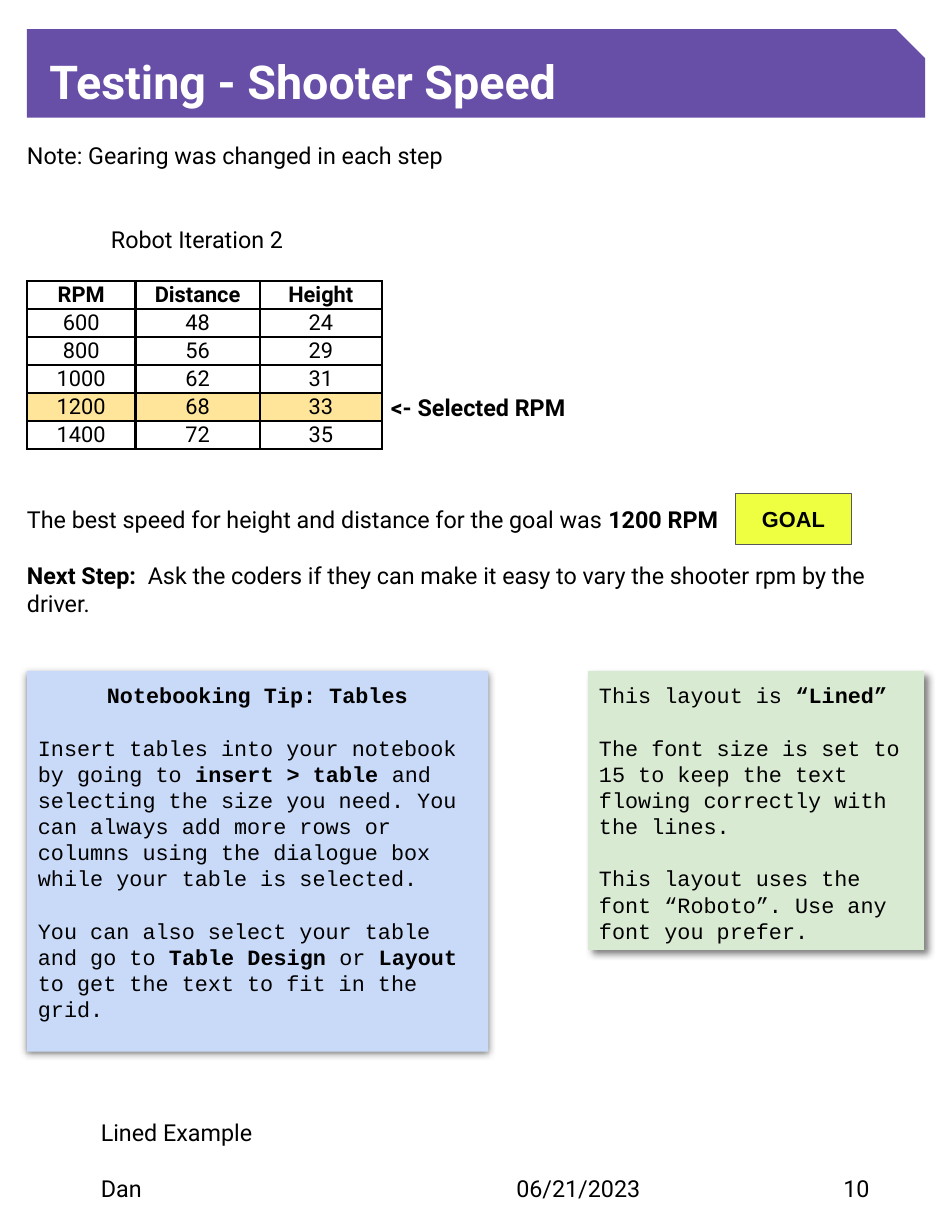
"""Builds the notebook page on testing the shooter speed."""
from lxml import etree
from pptx import Presentation
from pptx.dml.color import RGBColor
from pptx.enum.shapes import MSO_SHAPE
from pptx.enum.text import MSO_ANCHOR, MSO_AUTO_SIZE, PP_ALIGN
from pptx.oxml.ns import qn
from pptx.util import Inches, Pt

LEFT, CENTER = PP_ALIGN.LEFT, PP_ALIGN.CENTER
TOP, MIDDLE = MSO_ANCHOR.TOP, MSO_ANCHOR.MIDDLE
NO_AUTOFIT = MSO_AUTO_SIZE.NONE
RECTANGLE, SNIPPED = MSO_SHAPE.RECTANGLE, MSO_SHAPE.SNIP_1_RECTANGLE

COLORS = {
    "ink": "000000", "paper": "FFFFFF", "banner": "674EA7", "selected": "FFE599",
    "table_tip": "C9DAF8", "layout_tip": "D9EAD3", "goal": "EEFF41", "goal_edge": "595959",
}
MARGIN = 0.24
CONTENT_WIDTH = 8.02
LINE_PITCH = 18
CARD_PITCH = 16.8


def rgb(name):
    """Return the named colour."""
    return RGBColor.from_string(COLORS[name])


def add_solid(parent, name, alpha=None):
    """Append a colour element, optionally translucent, to an XML parent."""
    color = etree.SubElement(parent, qn("a:srgbClr"), val=COLORS[name])
    if alpha is not None:
        etree.SubElement(color, qn("a:alpha"), val=str(alpha * 1000))


def write(paragraph, text, *, size=15, font="Roboto", color="ink", bold=False,
          align=LEFT, pitch=None, before=0, indent=0):
    """Fill a paragraph with text, in which ** switches bold on and off."""
    paragraph.alignment = align
    paragraph.space_before = Pt(before)
    if pitch:
        paragraph.line_spacing = Pt(pitch)
    if indent:
        properties = paragraph._p.get_or_add_pPr()
        properties.set("marL", str(Inches(indent)))
        properties.set("indent", "0")
    for position, part in enumerate(text.split("**")):
        if part:
            run = paragraph.add_run()
            run.text = part
            run.font.size = Pt(size)
            run.font.name = font
            run.font.bold = bold or position % 2 == 1
            run.font.color.rgb = rgb(color)


class NotebookPage:
    """Holds the page style and the current slide."""

    def __init__(self, slide, **style):
        """Keep the slide and the format shared by its running text."""
        self.slide = slide
        self.style = style

    def fill_frame(self, frame, paragraphs, insets=(0, 0, 0, 0), anchor=TOP, **style):
        """Write (text, format) pairs into a text frame."""
        frame.word_wrap = True
        frame.auto_size = NO_AUTOFIT
        frame.vertical_anchor = anchor
        (frame.margin_left, frame.margin_top,
         frame.margin_right, frame.margin_bottom) = map(Inches, insets)
        for index, (text, extra) in enumerate(paragraphs):
            paragraph = frame.add_paragraph() if index else frame.paragraphs[0]
            write(paragraph, text, **{**self.style, **style, **extra})

    def title(self, text, box):
        """Place and format the title placeholder."""
        title = self.slide.shapes.title
        title.left, title.top, title.width, title.height = map(Inches, box)
        self.fill_frame(title.text_frame, [(text, {})])

    def text(self, paragraphs, box, **style):
        """Add a text box."""
        textbox = self.slide.shapes.add_textbox(*map(Inches, box))
        self.fill_frame(textbox.text_frame, paragraphs, **style)

    def panel(self, paragraphs, box, fill, edge=None, kind=RECTANGLE, **style):
        """Add a filled shape with text."""
        panel = self.slide.shapes.add_shape(kind, *map(Inches, box))
        panel.shadow.inherit = False
        panel.fill.solid()
        panel.fill.fore_color.rgb = rgb(fill)
        if edge:
            panel.line.color.rgb = rgb(edge)
            panel.line.width = Pt(0.75)
        else:
            panel.line.fill.background()
        self.fill_frame(panel.text_frame, paragraphs, **style)
        return panel

    def card(self, paragraphs, box, fill, distance, angle):
        """Add a tip card with a soft shadow."""
        card = self.panel(paragraphs, box, fill, insets=(0.1,) * 4, size=14,
                          font="Courier New", pitch=CARD_PITCH)
        effects = card._element.spPr.find(qn("a:effectLst"))
        shadow = etree.SubElement(
            effects, qn("a:outerShdw"), blurRad=str(Pt(4.5)), dist=str(Pt(distance)),
            dir=str(angle * 60000), algn="bl", rotWithShape="0")
        add_solid(shadow, "ink", alpha=50)

    def table(self, rows, left, top, widths, row_height, selected):
        """Add a ruled table with a bold header and one highlighted row."""
        table = self.slide.shapes.add_table(
            len(rows), len(widths), Inches(left), Inches(top),
            Inches(sum(widths)), Inches(row_height * len(rows))).table
        table.horz_banding = False
        for column, width in zip(table.columns, widths):
            column.width = Inches(width)
        for row_index, row in enumerate(rows):
            table.rows[row_index].height = Inches(row_height)
            for column_index, value in enumerate(row):
                cell = table.cell(row_index, column_index)
                cell.margin_left = cell.margin_right = Inches(0.1)
                cell.margin_top = cell.margin_bottom = 0
                cell.vertical_anchor = MIDDLE
                write(cell.text_frame.paragraphs[0], str(value), size=14,
                      bold=row_index == 0, align=CENTER)
                self.rule_cell(cell)
                if row_index == selected:
                    cell.fill.solid()
                    cell.fill.fore_color.rgb = rgb("selected")
                else:
                    cell.fill.background()

    def rule_cell(self, cell):
        """Draw a line on each side of a table cell."""
        properties = cell._tc.get_or_add_tcPr()
        for side in ("lnL", "lnR", "lnT", "lnB"):
            line = etree.SubElement(properties, qn(f"a:{side}"), w=str(Pt(1.5)))
            add_solid(etree.SubElement(line, qn("a:solidFill")), "ink")


def main():
    """Build and save the page."""
    notebook = Presentation()
    notebook.slide_width, notebook.slide_height = Inches(8.5), Inches(11)
    page = NotebookPage(notebook.slides.add_slide(notebook.slide_layouts[5]),
                        size=15, font="Roboto", color="ink")

    footer = [("Dan", 0.9, 3.51), ("06/21/2023", 4.61, 2.4), ("10", 7.53, 0.74)]
    for entry, left, width in footer:
        page.text([(entry, {})], (left, 10.48, width, 0.23))
    page.title("Lined Example", (0.9, 9.98, 7.34, 0.23))

    page.text([
        ("Note: Gearing was changed in each step", {}),
        ("Robot Iteration 2", {"before": 2 * LINE_PITCH, "indent": 0.75}),
        ("**<- Selected RPM**", {"before": 5 * LINE_PITCH, "indent": 3.25}),
        ("The best speed for height and distance for the goal was **1200 RPM**",
         {"before": 3 * LINE_PITCH}),
        ("**Next Step:  **Ask the coders if they can make it easy to vary the "
         "shooter rpm by the driver.", {"before": LINE_PITCH}),
    ], (MARGIN, 1.26, CONTENT_WIDTH, 8.33), pitch=LINE_PITCH)

    new_block = {"before": CARD_PITCH}
    page.card([
        ("This layout is **“Lined”**", {}),
        ("The font size is set to 15 to keep the text flowing correctly with the lines.",
         new_block),
        ("This layout uses the font “Roboto”. Use any font you prefer.", new_block),
    ], (5.25, 5.99, 3, 2.49), "layout_tip", distance=3.8, angle=46)

    speed_tests = [
        ("RPM", "Distance", "Height"),
        (600, 48, 24), (800, 56, 29), (1000, 62, 31), (1200, 68, 33), (1400, 72, 35),
    ]
    page.table(speed_tests, MARGIN, 2.51, (0.97, 1.11, 1.09), 0.25, selected=4)

    page.card([
        ("**Notebooking Tip: Tables**", {"align": CENTER}),
        ("Insert tables into your notebook by going to **insert > table** and selecting "
         "the size you need. You can always add more rows or columns using the dialogue "
         "box while your table is selected.", new_block),
        ("You can also select your table and go to **Table Design** or **Layout **"
         "to get the text to fit in the grid.", new_block),
    ], (MARGIN, 5.99, 4.12, 3.4), "table_tip", distance=1.5, angle=90)

    page.panel([("GOAL", {})], (6.57, 4.41, 1.03, 0.45), "goal", edge="goal_edge",
               insets=(0.1,) * 4, anchor=MIDDLE, size=14, font="Arial", bold=True,
               align=CENTER)
    banner = page.panel([("Testing - Shooter Speed", {})],
                        (MARGIN, 0.26, CONTENT_WIDTH, 0.79), "banner", kind=SNIPPED,
                        insets=(0.2, 0, 0.1, 0), anchor=MIDDLE, size=30,
                        color="paper", bold=True)
    banner.adjustments[0] = 0.33
    notebook.save("out.pptx")


if __name__ == "__main__":
    main()
